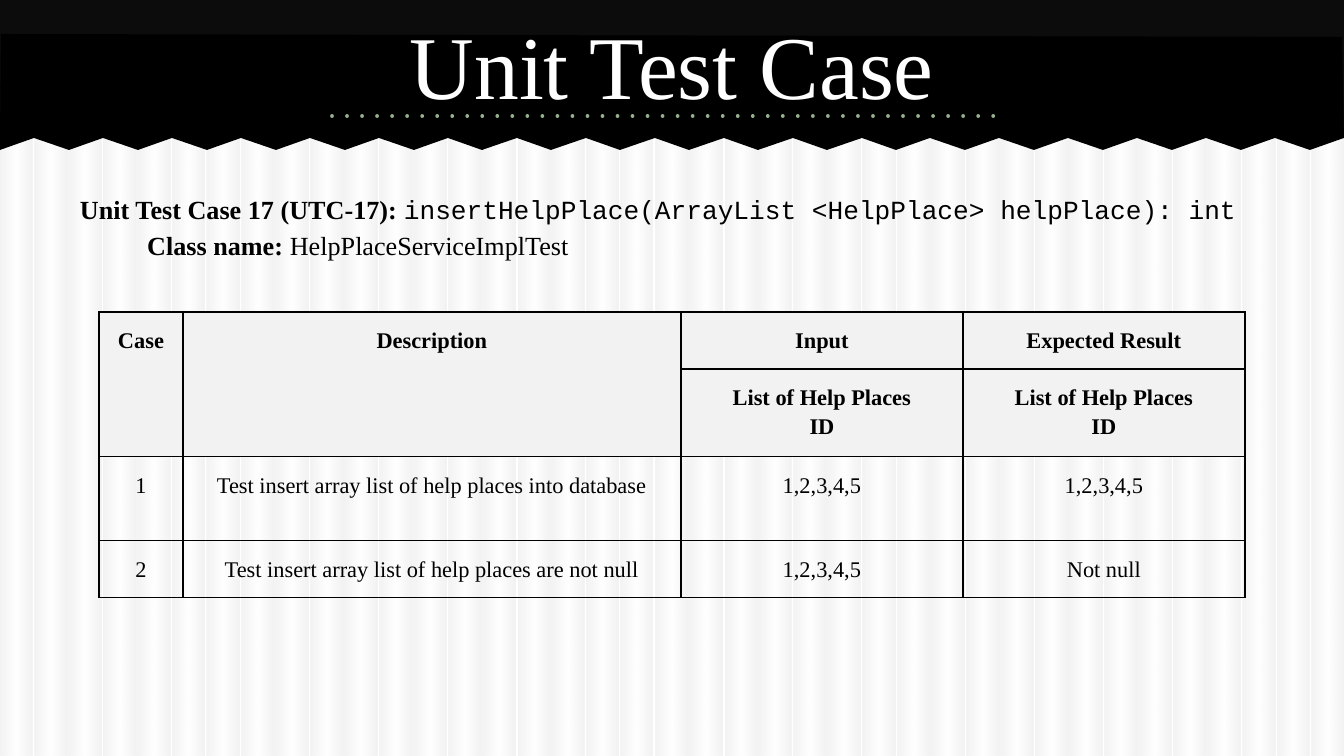
import lxml.etree
import pptx
import pptx.dml.color
import pptx.enum.dml
import pptx.enum.shapes
import pptx.enum.text
import pptx.oxml
import pptx.oxml.ns
import pptx.util

EMU_PER_PX = 914400 / 134.4
WIDTH, HEIGHT = 1344, 756
COLORS = {
    "stripe_edge": "BFBFBF",
    "white": "FFFFFF",
    "black": "000000",
    "band": "0C0C0C",
    "dots": "94AE8E",
    "header": "F2F2F2",
}
SERIF, MONO = "Times New Roman", "Courier New"
NAMESPACE = pptx.oxml.ns.nsdecls("a")


def px(length):
    return pptx.util.Emu(round(length * EMU_PER_PX))


def rgb(name):
    return pptx.dml.color.RGBColor.from_string(COLORS[name])


class SlideBuilder:
    def __init__(self, slide):
        self.slide = slide

    def finish(self, shape, color):
        shape.shadow.inherit = False
        shape.line.fill.background()
        shape.fill.solid()
        shape.fill.fore_color.rgb = rgb(color)

    def rectangle(self, left, top, width, height, color):
        shape = self.slide.shapes.add_shape(
            pptx.enum.shapes.MSO_SHAPE.RECTANGLE, px(left), px(top), px(width), px(height))
        self.finish(shape, color)
        return shape

    def stripe(self, left, top, width, height):
        """Rectangle with a faint horizontal gradient, light in the middle."""
        shape = self.rectangle(left, top, width, height, "white")
        stops = "".join(
            f'<a:gs pos="{position}000"><a:srgbClr val="{COLORS[color]}">'
            '<a:alpha val="19000"/></a:srgbClr></a:gs>'
            for position, color in [(0, "stripe_edge"), (50, "white"),
                                    (97, "stripe_edge"), (100, "stripe_edge")])
        gradient = pptx.oxml.parse_xml(
            f'<a:gradFill {NAMESPACE}><a:gsLst>{stops}</a:gsLst>'
            '<a:lin ang="0" scaled="0"/></a:gradFill>')
        properties = shape.element.spPr
        properties.replace(properties.find(pptx.oxml.ns.qn("a:solidFill")), gradient)

    def polygon(self, points, color):
        builder = self.slide.shapes.build_freeform(*points[0], scale=EMU_PER_PX)
        builder.add_line_segments(points[1:], close=True)
        self.finish(builder.convert_to_shape(), color)

    def dotted_line(self, left, right, y, color, weight):
        line = self.slide.shapes.add_connector(
            pptx.enum.shapes.MSO_CONNECTOR.STRAIGHT, px(left), px(y), px(right), px(y))
        line.line.color.rgb = rgb(color)
        line.line.width = pptx.util.Pt(weight)
        line.line.dash_style = pptx.enum.dml.MSO_LINE.ROUND_DOT
        outline = line.line._get_or_add_ln()
        outline.set("cap", "rnd")
        outline.find(pptx.oxml.ns.qn("a:prstDash")).set("val", "dot")
        lxml.etree.SubElement(line.element.spPr, pptx.oxml.ns.qn("a:effectLst"))

    def run(self, paragraph, text, size, color="black", font=SERIF, bold=False):
        run = paragraph.add_run()
        run.text = text
        run.font.size = pptx.util.Pt(size)
        run.font.name = font
        run.font.bold = bold
        run.font.color.rgb = rgb(color)

    def text_box(self, left, top, width, height, anchor):
        frame = self.slide.shapes.add_textbox(
            px(left), px(top), px(width), px(height)).text_frame
        frame.word_wrap = True
        frame.vertical_anchor = anchor
        frame.margin_left = frame.margin_right = px(13)
        frame.margin_top = frame.margin_bottom = px(13)
        return frame

    def cell(self, cell, text, is_header):
        cell.margin_left = cell.margin_right = px(9)
        cell.margin_top = cell.margin_bottom = px(13)
        properties = cell._tc.get_or_add_tcPr()
        for side in ("lnL", "lnR", "lnT", "lnB"):
            properties.append(pptx.oxml.parse_xml(
                f'<a:{side} {NAMESPACE} w="12700"><a:solidFill>'
                f'<a:srgbClr val="{COLORS["black"]}"/></a:solidFill></a:{side}>'))
        if is_header:
            cell.fill.solid()
            cell.fill.fore_color.rgb = rgb("header")
        else:
            cell.fill.background()
        frame = cell.text_frame
        for index, line in enumerate(text.split("\n")):
            paragraph = frame.add_paragraph() if index else frame.paragraphs[0]
            paragraph.alignment = pptx.enum.text.PP_ALIGN.CENTER
            paragraph.line_spacing = 1.15
            if line:
                self.run(paragraph, line, 12, bold=is_header)

    def table(self, left, top, widths, heights, rows, header_rows):
        table = self.slide.shapes.add_table(
            len(rows), len(widths), px(left), px(top),
            px(sum(widths)), px(sum(heights))).table
        table.first_row = table.horz_banding = False
        for column, width in zip(table.columns, widths):
            column.width = px(width)
        for row, height in zip(table.rows, heights):
            row.height = px(height)
        for row_index, row in enumerate(rows):
            for column_index, text in enumerate(row):
                self.cell(table.cell(row_index, column_index), text,
                          row_index < header_rows)
        return table


def main():
    presentation = pptx.Presentation()
    presentation.slide_width, presentation.slide_height = px(WIDTH), px(HEIGHT)
    slide = presentation.slides.add_slide(presentation.slide_layouts[6])
    slide.background.fill.solid()
    slide.background.fill.fore_color.rgb = rgb("white")
    builder = SlideBuilder(slide)

    for index in range(39):
        builder.stripe(round(34.52 * index), 1, 32, HEIGHT - 1)

    builder.rectangle(0, 0, WIDTH, 137, "band")
    teeth = [(round(WIDTH * index / 39), 138 if index % 2 else 150)
             for index in range(39, -1, -1)]
    builder.polygon([(1, 34), (1342, 37)] + teeth, "black")
    builder.dotted_line(332, 1008, 116, "dots", 2)

    title = builder.text_box(67, 1, 1210, 126, pptx.enum.text.MSO_ANCHOR.MIDDLE)
    title.paragraphs[0].alignment = pptx.enum.text.PP_ALIGN.CENTER
    builder.run(title.paragraphs[0], "Unit Test Case", 48, "white")

    body = builder.text_box(67, 176, 1210, 534, pptx.enum.text.MSO_ANCHOR.TOP)
    signature, class_name = body.paragraphs[0], body.add_paragraph()
    signature.line_spacing = class_name.line_spacing = 1.15
    builder.run(signature, "Unit Test Case 17 (UTC-17): ", 14, bold=True)
    builder.run(signature, "insertHelpPlace(ArrayList <HelpPlace> helpPlace): int",
                14, font=MONO)
    class_name._p.get_or_add_pPr().set("indent", str(pptx.util.Inches(0.5)))
    builder.run(class_name, "Class name: ", 14, bold=True)
    builder.run(class_name, "HelpPlaceServiceImplTest", 14)

    place_ids = "List of Help Places\nID"
    cases = builder.table(99, 312, [84, 498, 282, 282], [55, 84, 84, 55], [
        ["Case", "Description", "Input", "Expected Result"],
        ["", "", place_ids, place_ids],
        ["1", "Test insert array list of help places into database",
         "1,2,3,4,5", "1,2,3,4,5"],
        ["2", "Test insert array list of help places are not null",
         "1,2,3,4,5", "Not null"],
    ], header_rows=2)
    for column in range(2):
        cases.cell(0, column).merge(cases.cell(1, column))

    presentation.save("out.pptx")


if __name__ == "__main__":
    main()
